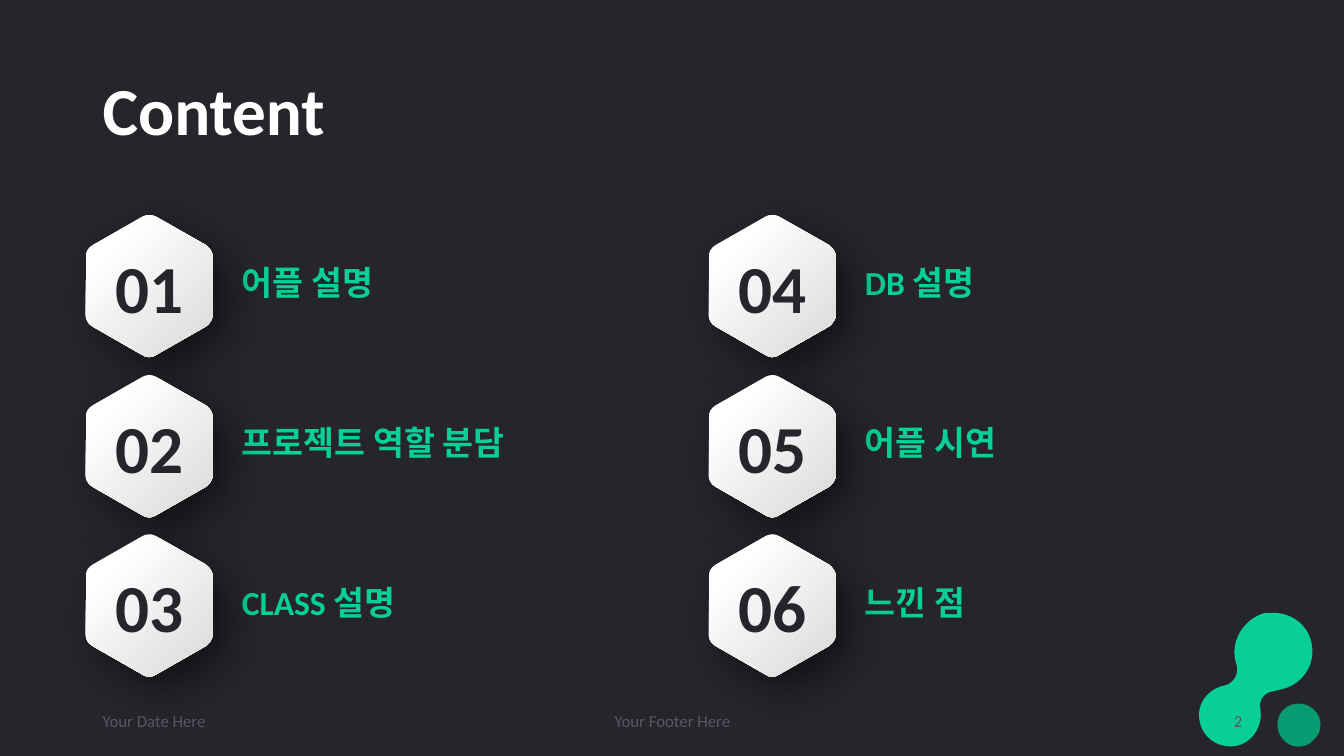
from lxml.etree import SubElement
from pptx import Presentation
from pptx.dml.color import RGBColor
from pptx.enum.text import MSO_ANCHOR, MSO_AUTO_SIZE, PP_ALIGN
from pptx.oxml.ns import qn
from pptx.util import Pt

PX = 9144  # 100 px to the inch
HUES = {"back": "25252B", "green": "08CF96", "deep": "069B71", "white": "FFFFFF",
        "gray": "DAD9D9", "muted": "575765", "black": "000000"}
TOPICS = ["어플 설명", "프로젝트 역할 분담", "CLASS 설명", "DB 설명", "어플 시연", "느낀 점"]
ROWS = 3

# Outlines in px: two numbers are a line, six are a curve
HEX = [(63, 0), (65, 0, 68, 1, 70, 2), (119, 30), (123, 33, 126, 37, 126, 42),
       (126, 99), (126, 104, 123, 108, 119, 111), (70, 139),
       (66, 142, 60, 142, 56, 139), (7, 111), (2, 108, 0, 104, 0, 99),
       (0, 42), (0, 37, 2, 33, 7, 30), (56, 2), (58, 1, 60, 0, 63, 0)]
BLOB = [(1301, 639), (1305, 660, 1291, 680, 1270, 684), (1262, 686),
        (1254, 687, 1248, 695, 1250, 703), (1253, 720, 1242, 737, 1226, 740),
        (1209, 743, 1193, 732, 1190, 716), (1186, 699, 1198, 683, 1215, 680),
        (1223, 678, 1228, 670, 1227, 662), (1225, 654),
        (1221, 634, 1235, 613, 1255, 608), (1258, 608, 1261, 608, 1263, 608),
        (1282, 608, 1298, 621, 1301, 639)]
DROP = [(1303, 704), (1312, 712, 1312, 726, 1303, 734),
        (1295, 743, 1281, 743, 1273, 734), (1265, 726, 1265, 712, 1273, 704),
        (1277, 700, 1283, 698, 1288, 698), (1294, 698, 1299, 700, 1303, 704)]

TITLE = {"size": 48, "hue": "white", "bold": True}
FOOT = {"size": 12, "hue": "muted", "bold": False}
LABEL = {"size": 24, "hue": "green", "bold": True}
DIGIT = {"size": 48, "hue": "back", "bold": True}


def tint(name):
    return RGBColor.from_string(HUES[name])


def apply(item, values):
    for name, value in values.items():
        setattr(item, name, value)


def write(shape, text, style, align=PP_ALIGN.LEFT, space=None, **frame):
    box = shape.text_frame
    apply(box, {"word_wrap": True, "vertical_anchor": MSO_ANCHOR.MIDDLE, **frame})
    para = box.paragraphs[0]
    apply(para, {"alignment": align, "line_spacing": space})
    run = para.add_run()
    run.text = text
    apply(run.font, {"name": "Calibri", "size": Pt(style["size"]), "bold": style["bold"]})
    run.font.color.rgb = tint(style["hue"])


def add_text(slide, x, y, w, h, *words, **frame):
    box = slide.shapes.add_textbox(x * PX, y * PX, w * PX, h * PX)
    write(box, *words, **frame)


def bend(shape, steps):
    """Join each three lines that stand for a curve into one cubic segment."""
    lines = iter(list(shape._element.iter(qn("a:lnTo"))))
    for step in steps[1:]:
        first = next(lines)
        if len(step) == 2:
            continue
        first.tag = qn("a:cubicBezTo")
        for line in (next(lines), next(lines)):
            first.append(line[0])
            line.getparent().remove(line)


def add_free(slide, steps, x=0, y=0):
    dots = [((x + step[i]) * PX, (y + step[i + 1]) * PX)
            for step in steps for i in range(0, len(step), 2)]
    pen = slide.shapes.build_freeform(*dots[0])
    pen.add_line_segments(dots[1:], close=True)
    shape = pen.convert_to_shape()
    bend(shape, steps)
    shape.line.fill.background()
    shape.shadow.inherit = False
    return shape


def add_shade(shape):
    effects = shape._element.spPr.find(qn("a:effectLst"))
    shade = SubElement(effects, qn("a:outerShdw"), blurRad=str(Pt(30)), dist=str(Pt(14)),
                       dir="2700000", algn="tl", rotWithShape="0")
    color = SubElement(shade, qn("a:srgbClr"), val=HUES["black"])
    SubElement(color, qn("a:alpha"), val="50000")


def add_badge(slide, x, y, text):
    badge = add_free(slide, HEX, x, y)
    badge.fill.gradient()
    badge.fill.gradient_angle = 315
    for stop, place, hue in zip(badge.fill.gradient_stops, (0.2, 1), ("white", "gray")):
        stop.position = place
        stop.color.rgb = tint(hue)
    add_shade(badge)
    write(badge, text, DIGIT, PP_ALIGN.CENTER, margin_left=6 * PX, margin_right=6 * PX,
          margin_top=3 * PX, margin_bottom=3 * PX)


def main():
    deck = Presentation()
    deck.slide_width, deck.slide_height = 1333 * PX, 750 * PX
    slide = deck.slides.add_slide(deck.slide_layouts[6])
    slide.background.fill.solid()
    slide.background.fill.fore_color.rgb = tint("back")

    # Corner drops
    for steps, hue in ((BLOB, "green"), (DROP, "deep")):
        drop = add_free(slide, steps)
        drop.fill.solid()
        drop.fill.fore_color.rgb = tint(hue)

    # Title and footer
    add_text(slide, 92, 40, 1150, 145, "Content", TITLE, space=0.9)
    for x, w, text, align in ((92, 300, "Your Date Here", PP_ALIGN.LEFT),
                              (442, 450, "Your Footer Here", PP_ALIGN.CENTER),
                              (942, 300, "2", PP_ALIGN.RIGHT)):
        add_text(slide, x, 695, w, 40, text, FOOT, align)

    # Numbered topics, filled column by column
    for i, topic in enumerate(TOPICS):
        col, row = divmod(i, ROWS)
        x, y = 85 + col * 618, 213 + (row * 317 + 1) // 2
        add_text(slide, x + 145, y + 26, 363, 61, topic, LABEL,
                 vertical_anchor=MSO_ANCHOR.BOTTOM, margin_top=20 * PX, margin_bottom=0,
                 auto_size=MSO_AUTO_SIZE.SHAPE_TO_FIT_TEXT)
        add_badge(slide, x, y, f"{i + 1:02}")

    deck.save("out.pptx")


if __name__ == "__main__":
    main()
